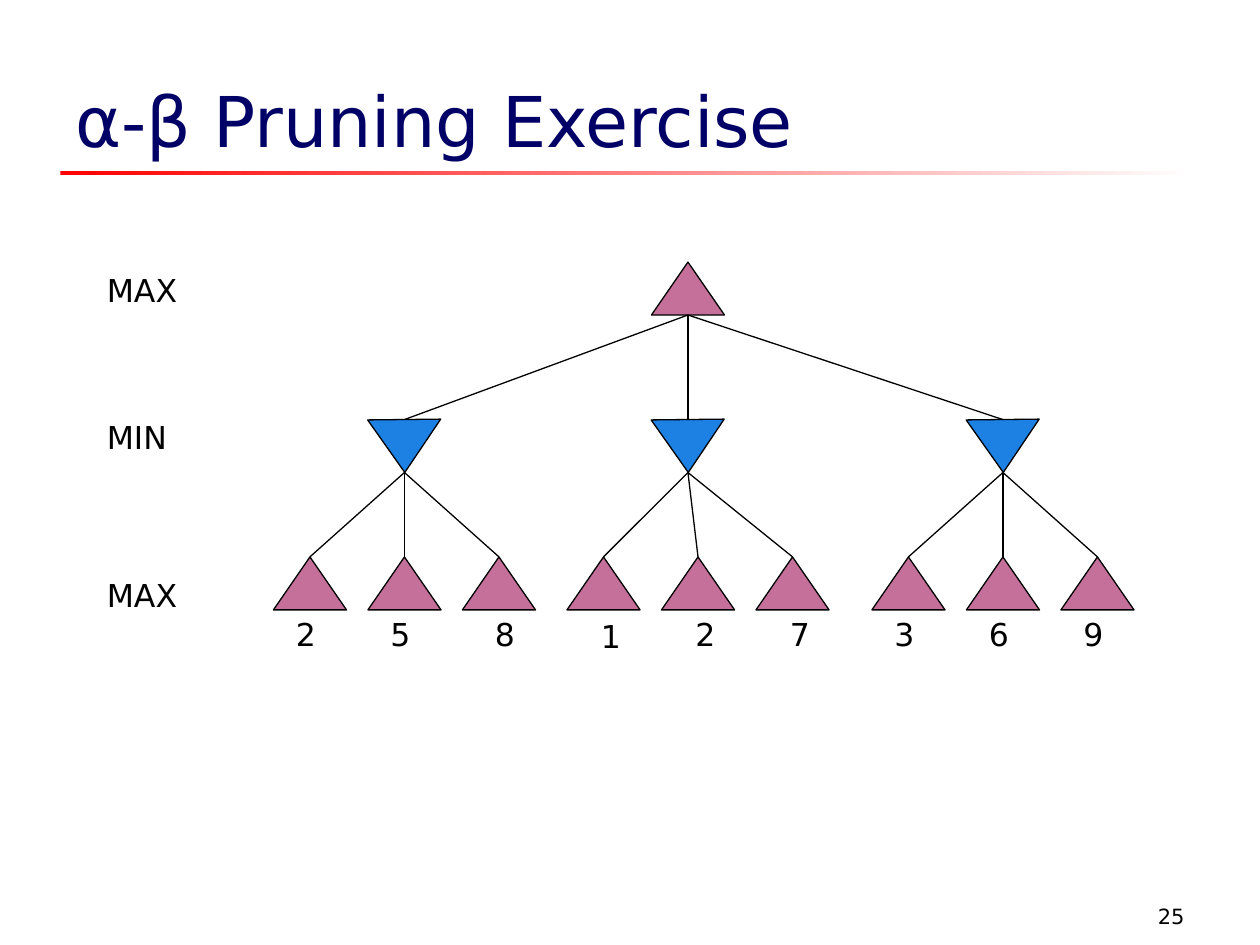
import pptx
import pptx.util
import pptx.dml.color
import pptx.enum.shapes
import pptx.enum.text
import pptx.oxml.ns
from lxml import etree

Inches, Pt = pptx.util.Inches, pptx.util.Pt
SHAPE = pptx.enum.shapes.MSO_SHAPE
ANCHOR = pptx.enum.text.MSO_ANCHOR
ALIGN = pptx.enum.text.PP_ALIGN

# Content
TITLE = "α-β Pruning Exercise"
PAGE = "25"
LEVELS = [("MAX", 2.1), ("MIN", 3.27), ("MAX", 4.52)]
ROOT_X = 5.17
# Each branch: left of the MIN node, left of its first leaf,
# then value, shift from its leaf and top of each leaf label
BRANCHES = [
    (2.92, 2.17, [("2", 0.08, 4.83), ("5", 0.08, 4.83), ("8", 0.16, 4.83)]),
    (5.17, 4.5, [("1", 0.17, 4.85), ("2", 0.17, 4.83), ("7", 0.17, 4.83)]),
    (7.67, 6.92, [("3", 0.08, 4.83), ("6", 0.08, 4.83), ("9", 0.08, 4.83)]),
]

# Layout and style
FONT = "DejaVu Sans"
COLORS = {"title": "000066", "text": "000000", "line": "000000",
          "max": "C4709A", "min": "1D80E3",
          "rule_start": "FF0000", "rule_end": "FFFFFF"}
NODE_W, NODE_H = 0.58, 0.42
ROOT_Y, MIN_Y, LEAF_Y = 2.08, 3.33, 4.42
LEAF_STEP = 0.75
MIN_TURN = 179.4


def color(name):
    return pptx.dml.color.RGBColor.from_string(COLORS[name])


def add_text(s, text, x, y, w, h, size=18, fill="text",
             anchor=ANCHOR.TOP, align=ALIGN.LEFT):
    sp = s.shapes.add_textbox(Inches(x), Inches(y), Inches(w), Inches(h))
    tf = sp.text_frame
    tf.word_wrap = True
    tf.vertical_anchor = anchor
    tf.text = text
    p = tf.paragraphs[0]
    p.alignment = align
    font = p.runs[0].font
    font.name, font.size = FONT, Pt(size)
    font.color.rgb = color(fill)


def add_node(s, x, y, kind):
    sp = s.shapes.add_shape(SHAPE.ISOSCELES_TRIANGLE, Inches(x), Inches(y),
                            Inches(NODE_W), Inches(NODE_H))
    sp.shadow.inherit = False
    sp.rotation = MIN_TURN if kind == "min" else 0
    sp.fill.solid()
    sp.fill.fore_color.rgb = color(kind)
    sp.line.color.rgb = color("line")
    sp.line.width = Pt(0.75)


def add_edge(s, parent_x, parent_y, child_x, child_y):
    """Line from the bottom of a parent node to the top of its child."""
    mid = NODE_W / 2
    line = s.shapes.add_connector(
        pptx.enum.shapes.MSO_CONNECTOR.STRAIGHT,
        Inches(parent_x + mid), Inches(parent_y + NODE_H),
        Inches(child_x + mid), Inches(child_y))
    line.line.color.rgb = color("line")
    line.line.width = Pt(0.75)
    etree.SubElement(line._element.spPr, pptx.oxml.ns.qn("a:effectLst"))


prs = pptx.Presentation()
prs.slide_width, prs.slide_height = Inches(10), Inches(7.5)
s = prs.slides.add_slide(prs.slide_layouts[6])

# Title, fading rule and page number
rule = s.shapes.add_shape(SHAPE.RECTANGLE, Inches(0.48), Inches(1.36),
                          Inches(9), Inches(0.03))
rule.shadow.inherit = False
rule.line.fill.background()
rule.fill.gradient()
rule.fill.gradient_angle = 0
for stop, name, place in zip(rule.fill.gradient_stops,
                             ("rule_start", "rule_end"), (0, 1)):
    stop.color.rgb = color(name)
    stop.position = place
add_text(s, TITLE, 0.5, 0.08, 9.28, 1.25, 40, "title", ANCHOR.BOTTOM)
add_text(s, PAGE, 7.42, 6.92, 2.08, 0.5, 12, "text", ANCHOR.BOTTOM, ALIGN.RIGHT)

# Level names
for name, y in LEVELS:
    add_text(s, name, 0.75, y, 1.5, 0.4)

# Game tree
add_node(s, ROOT_X, ROOT_Y, "max")
for min_x, first_x, leaves in BRANCHES:
    add_node(s, min_x, MIN_Y, "min")
    add_edge(s, ROOT_X, ROOT_Y, min_x, MIN_Y)
    for i, (value, shift, label_y) in enumerate(leaves):
        leaf_x = first_x + i * LEAF_STEP
        add_node(s, leaf_x, LEAF_Y, "max")
        add_edge(s, min_x, MIN_Y, leaf_x, LEAF_Y)
        add_text(s, value, leaf_x + shift, label_y, NODE_W, 0.4)

prs.save("out.pptx")
